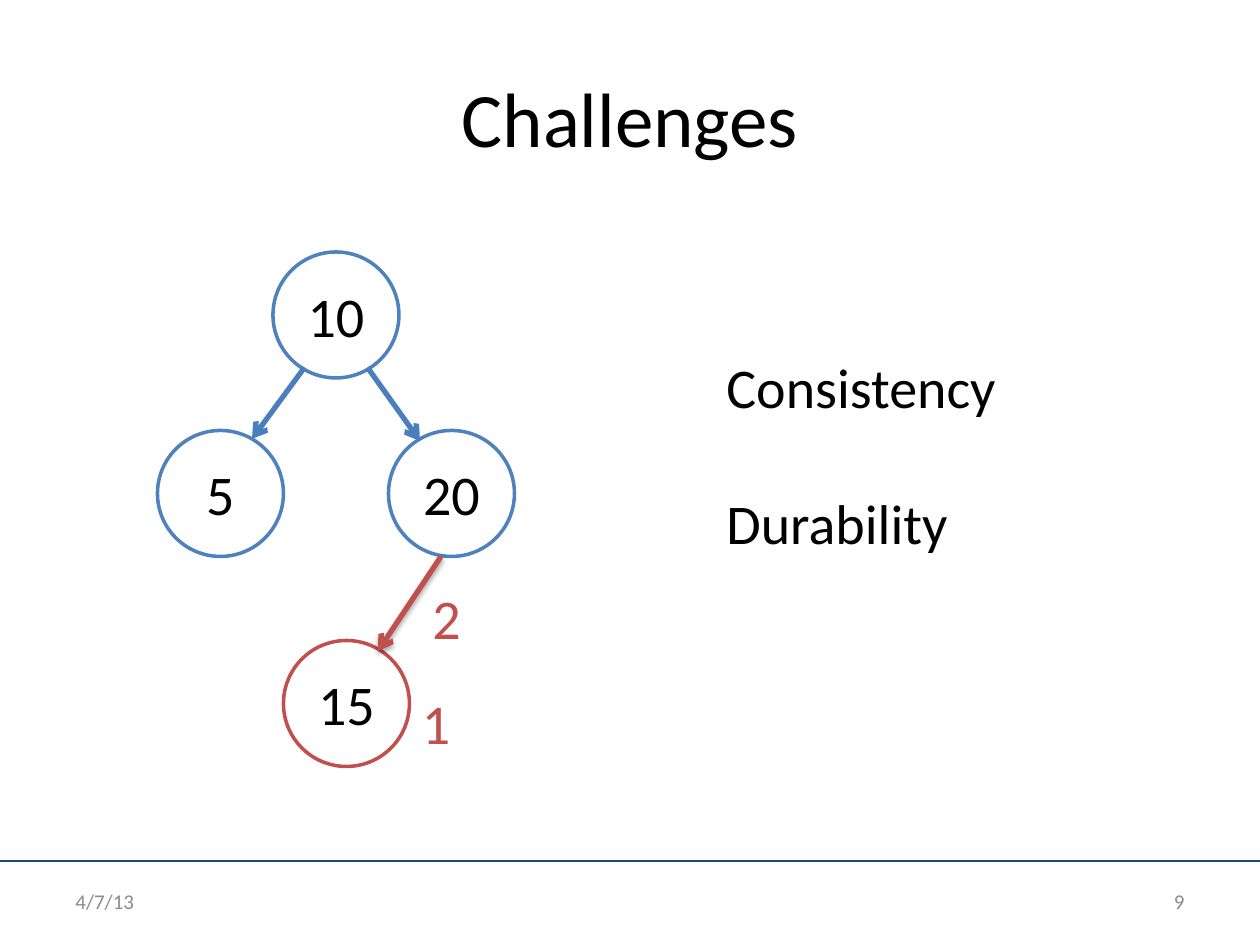
from lxml.etree import SubElement
from pptx import Presentation
from pptx.dml.color import RGBColor
from pptx.enum.shapes import MSO_CONNECTOR, MSO_SHAPE
from pptx.enum.text import MSO_ANCHOR as Anchor, PP_ALIGN as Align
from pptx.oxml.ns import qn
from pptx.util import Inches, Pt

CELL = Inches(1) / 12  # the grid has 120 columns and 90 rows
NODE = 12              # node diameter in cells
FONT = "Calibri"
BLACK, WHITE, GREY = "000000", "FFFFFF", "8C8C8C"
BLUE, ARROW_BLUE, RED, NAVY = "4F81BD", "4B7EBC", "C0504D", "1F497D"


def cells(*counts):
    return [round(count * CELL) for count in counts]


def color(hex_string):
    return RGBColor.from_string(hex_string)


def write(shape, lines, size, ink, align=Align.LEFT, anchor=Anchor.TOP, gap=0):
    frame = shape.text_frame
    frame.word_wrap = True
    frame.vertical_anchor = anchor
    frame.text = "\n".join(lines)
    for index, paragraph in enumerate(frame.paragraphs):
        paragraph.alignment = align
        paragraph.space_before = Pt(gap if index else 0)
        paragraph.font.name = FONT
        paragraph.font.size = Pt(size)
        paragraph.font.color.rgb = color(ink)


def add_text(slide, box, lines, size, ink, **layout):
    write(slide.shapes.add_textbox(*cells(*box)), lines, size, ink, **layout)


def add_line(slide, start, end, ink, width, arrow=False, shadow=False):
    connector = slide.shapes.add_connector(
        MSO_CONNECTOR.STRAIGHT, *cells(*start, *end))
    connector.line.color.rgb = color(ink)
    connector.line.width = Pt(width)
    properties = connector._element.spPr
    if arrow:
        SubElement(properties.find(qn("a:ln")), qn("a:tailEnd"), type="arrow")
    effects = SubElement(properties, qn("a:effectLst"))
    if shadow:
        outer = SubElement(effects, qn("a:outerShdw"), blurRad=str(Pt(3.1)),
                           dist=str(Pt(1.8)), dir="5400000", rotWithShape="0")
        black = SubElement(outer, qn("a:srgbClr"), val=BLACK)
        SubElement(black, qn("a:alpha"), val="35000")


def add_node(slide, left, top, label, ink):
    node = slide.shapes.add_shape(
        MSO_SHAPE.OVAL, *cells(left, top, NODE, NODE))
    node.shadow.inherit = False
    node.fill.solid()
    node.fill.fore_color.rgb = color(WHITE)
    node.line.color.rgb = color(ink)
    node.line.width = Pt(2)
    write(node, [label], 32, BLACK, Align.CENTER, Anchor.MIDDLE)


def add_title(slide, box, text):
    title = slide.shapes.title
    title.left, title.top, title.width, title.height = cells(*box)
    write(title, [text], 44, BLACK, Align.CENTER, Anchor.MIDDLE)


def add_tree(slide, left, top):
    # Nodes: column, row, label, outline
    for column, row, label, ink in [(11, 0, "10", BLUE), (0, 17, "5", BLUE),
                                    (22, 17, "20", BLUE), (12, 37, "15", RED)]:
        add_node(slide, left + column, top + row, label, ink)

    # Arrows from parent to child; the inserted one is red
    for x1, y1, x2, y2, ink in [(14, 11, 9, 17.8, ARROW_BLUE),
                                (20, 11, 25, 18, ARROW_BLUE),
                                (27, 29, 21, 38, RED)]:
        add_line(slide, (left + x1, top + y1), (left + x2, top + y2), ink, 3,
                 arrow=True, shadow=ink == RED)

    # Order of the two writes
    for column, row, step in [(25, 31, "2"), (24, 41, "1")]:
        add_text(slide, (left + column, top + row, 8, 7.7), [step], 32, RED)


def add_footer(slide, top, date, number):
    add_line(slide, (0, top), (120, top), NAVY, 1.5)
    for left, text, align in [(6, date, Align.LEFT), (86, number, Align.RIGHT)]:
        add_text(slide, (left, top + 1.4, 28, 4.8), [text], 12, GREY,
                 align=align, anchor=Anchor.MIDDLE)


def main():
    presentation = Presentation()
    presentation.slide_width, presentation.slide_height = cells(120, 90)
    slide = presentation.slides.add_slide(presentation.slide_layouts[5])
    add_title(slide, (6, 3.6, 108, 15), "Challenges")
    add_tree(slide, 15, 24)
    add_text(slide, (68, 33, 33, 24.2), ["Consistency", "Durability"], 32,
             BLACK, gap=39)
    add_footer(slide, 82, "4/7/13", "9")
    presentation.save("out.pptx")


if __name__ == "__main__":
    main()
